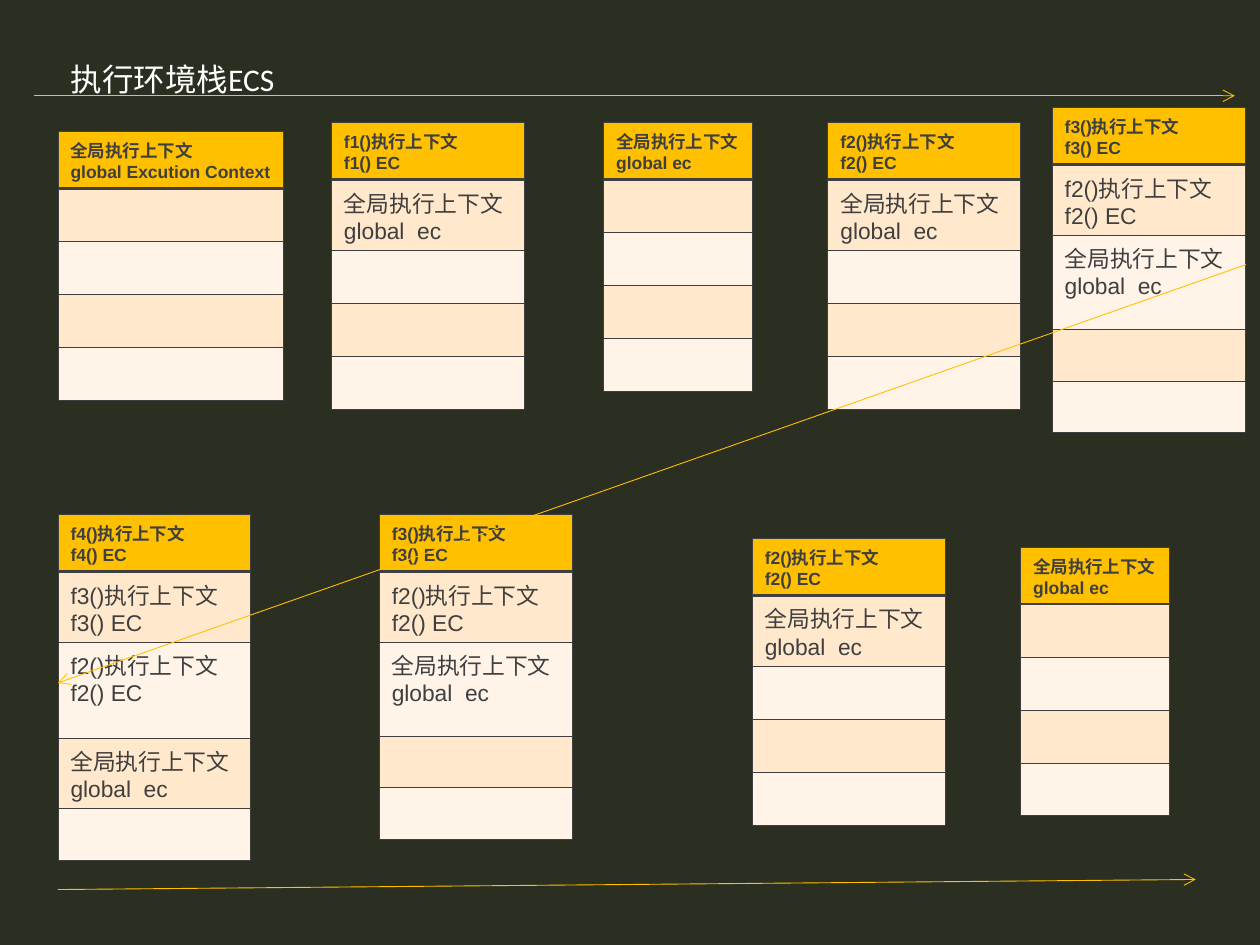
from lxml import etree
from pptx import Presentation
from pptx.dml.color import RGBColor
from pptx.enum.shapes import MSO_CONNECTOR
from pptx.enum.text import MSO_ANCHOR, MSO_AUTO_SIZE, PP_ALIGN
from pptx.oxml.ns import qn
from pptx.util import Inches, Pt

STRAIGHT = MSO_CONNECTOR.STRAIGHT
TOP = MSO_ANCHOR.TOP
LEFT = PP_ALIGN.LEFT
NO_AUTOFIT = MSO_AUTO_SIZE.NONE

BACKGROUND, GOLD, INK, WHITE = "2A2F21", "FFC000", "3F3F3F", "FFFFFF"
BANDS = ("FFE8CB", "FFF4E7")
THIN, THICK = 0.45, 1.47

# Row heights by the number of contexts on the stack
ROW_HEIGHTS = {
    1: (0.43, 0.42, 0.42, 0.42, 0.42),
    2: (0.45, 0.53, 0.42, 0.42, 0.42),
    3: (0.43, 0.53, 0.75, 0.39, 0.39),
    4: (0.43, 0.54, 0.76, 0.54, 0.4),
}

# Left, top, width, contexts from the top of the stack down
STACKS = (
    (0.46, 1.04, 1.79, ("global Excution Context",)),
    (2.63, 0.97, 1.53, ("f1()", "global  ec")),
    (4.79, 0.97, 1.18, ("global ec",)),
    (6.57, 0.97, 1.53, ("f2()", "global  ec")),
    (8.35, 0.85, 1.53, ("f3()", "f2()", "global  ec")),
    (0.46, 4.08, 1.53, ("f4()", "f3()", "f2()", "global  ec")),
    (3.01, 4.08, 1.53, ("f3()", "f2()", "global  ec")),
    (5.97, 4.27, 1.53, ("f2()", "global  ec")),
    (8.1, 4.34, 1.18, ("global ec",)),
)

# Start and end points
ARROWS = (
    ((0.27, 0.76), (9.8, 0.76)),
    ((9.89, 2.1), (0.46, 5.42)),
    ((0.46, 7.06), (9.49, 6.98)),
)


def color(value):
    return RGBColor.from_string(value)


def add_run(paragraph, text, size, font, hex_color, bold=False):
    run = paragraph.add_run()
    run.text = text
    run.font.size = Pt(size)
    run.font.name = font
    run.font.bold = bold
    run.font.color.rgb = color(hex_color)


def context_lines(context):
    if context.startswith("global"):
        return "全局执行上下文", context
    return f"{context}执行上下文", f"{context} EC"


def set_borders(cell, top, bottom):
    properties = cell._tc.get_or_add_tcPr()
    for side, width in (("L", THIN), ("R", THIN), ("T", top), ("B", bottom)):
        line = etree.SubElement(properties, qn(f"a:ln{side}"), w=str(Pt(width)))
        fill = etree.SubElement(line, qn("a:solidFill"))
        etree.SubElement(fill, qn("a:srgbClr"), val=INK)


def add_title(slide, text):
    title = slide.shapes.title
    title.left, title.top = Inches(0.46), Inches(0.43)
    title.width, title.height = Inches(2.01), Inches(0.4)
    frame = title.text_frame
    frame.auto_size = NO_AUTOFIT
    frame.vertical_anchor = TOP
    paragraph = frame.paragraphs[0]
    paragraph.alignment = LEFT
    add_run(paragraph, text, 18, "Calibri", WHITE)


def add_stack(slide, left, top, width, contexts):
    heights = ROW_HEIGHTS[len(contexts)]
    table = slide.shapes.add_table(
        len(heights), 1, Inches(left), Inches(top), Inches(width), Inches(sum(heights))
    ).table
    table.first_row = table.horz_banding = False
    for index, height in enumerate(heights):
        table.rows[index].height = Inches(height)
        cell = table.cell(index, 0)
        is_header = index == 0
        set_borders(cell, THICK if index == 1 else THIN, THICK if is_header else THIN)
        cell.fill.solid()
        cell.fill.fore_color.rgb = color(GOLD if is_header else BANDS[(index - 1) % 2])
        if index < len(contexts):
            frame = cell.text_frame
            first, second = context_lines(contexts[index])
            size = 10 if is_header else 13
            add_run(frame.paragraphs[0], first, size, "Arial", INK, is_header)
            add_run(frame.add_paragraph(), second, size, "Arial", INK, is_header)


def add_arrow(slide, start, end):
    points = [Inches(value) for value in start + end]
    connector = slide.shapes.add_connector(STRAIGHT, *points)
    connector.line.color.rgb = color(GOLD)
    connector.line.width = Pt(0.5)
    etree.SubElement(connector.line._get_or_add_ln(), qn("a:tailEnd"), type="arrow")
    etree.SubElement(connector._element.spPr, qn("a:effectLst"))


def main():
    presentation = Presentation()
    presentation.slide_width, presentation.slide_height = Inches(10), Inches(7.5)
    slide = presentation.slides.add_slide(presentation.slide_layouts[5])
    slide.background.fill.solid()
    slide.background.fill.fore_color.rgb = color(BACKGROUND)

    add_title(slide, "执行环境栈ECS")
    # Successive states of the execution stack
    for stack in STACKS:
        add_stack(slide, *stack)
    # Reading order
    for start, end in ARROWS:
        add_arrow(slide, start, end)

    presentation.save("out.pptx")


if __name__ == "__main__":
    main()
